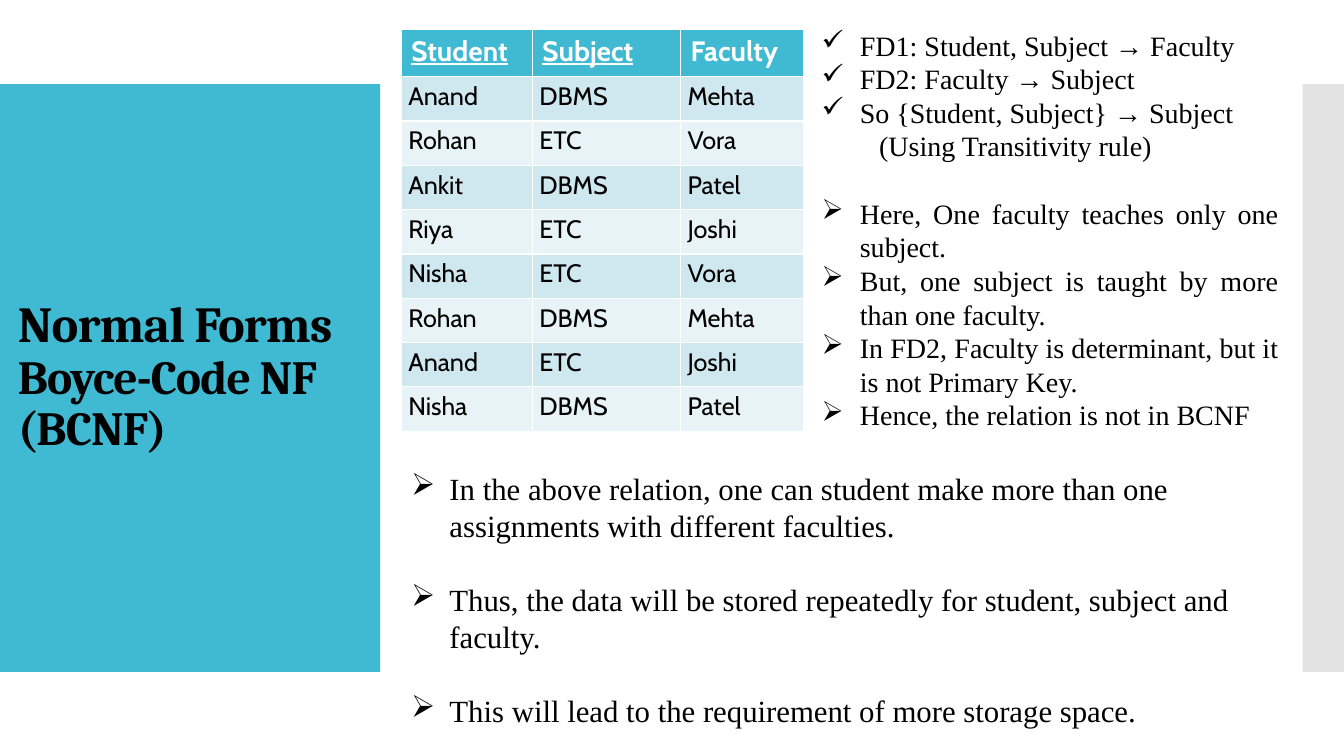
import pptx
import pptx.util
import pptx.dml.color
import pptx.enum.shapes
import pptx.enum.text
import lxml.etree

Inches = pptx.util.Inches
Pt = pptx.util.Pt
Align = pptx.enum.text.PP_ALIGN
DRAWING = "{http://schemas.openxmlformats.org/drawingml/2006/main}"
WIDTH, HEIGHT = 13.33, 7.5
TEAL, BLACK, WHITE = "40BAD2", "000000", "FFFFFF"
BANDS = ["CFE7EE", "E8F3F7"]


def colour(target, code):
    """Give a fill or a font a solid colour."""
    if hasattr(target, "solid"):
        target.solid()
        target.fore_color.rgb = pptx.dml.color.RGBColor.from_string(code)
    else:
        target.color.rgb = pptx.dml.color.RGBColor.from_string(code)


def add_points(page, place, points, size, align):
    """Add a text box of (bullet, indent, space before, text) points."""
    box = page.shapes.add_textbox(*[Inches(length) for length in place])
    frame = box.text_frame
    frame.word_wrap = True
    for number, (bullet, indent, before, text) in enumerate(points):
        para = frame.paragraphs[0] if number == 0 else frame.add_paragraph()
        para.text = text
        para.alignment = align
        para.space_before = Pt(before)
        properties = para._p.get_or_add_pPr()
        properties.set("marL", str(Inches(indent)))
        if bullet:
            properties.set("indent", str(-Inches(indent)))
            lxml.etree.SubElement(properties, DRAWING + "buChar", char=bullet)
        para.font.size = Pt(size)
        para.font.name = "Times New Roman"
        colour(para.font, BLACK)


deck = pptx.Presentation()
deck.slide_width, deck.slide_height = Inches(WIDTH), Inches(HEIGHT)
page = deck.slides.add_slide(deck.slide_layouts[6])

# Side panels: seven ninths of the slide's height
for left, width, code in [(0, 3.77, TEAL), (12.92, WIDTH - 12.92, "C8C8C8")]:
    panel = page.shapes.add_shape(
        pptx.enum.shapes.MSO_SHAPE.RECTANGLE, Inches(left), Inches(HEIGHT / 9),
        Inches(width), Inches(HEIGHT * 7 / 9))
    panel.shadow.inherit = False
    panel.line.fill.background()
    colour(panel.fill, code)
# The right panel is half transparent
grey = panel._element.spPr.find(f"{DRAWING}solidFill/{DRAWING}srgbClr")
lxml.etree.SubElement(grey, DRAWING + "alpha", val="50000")

# Title
box = page.shapes.add_textbox(Inches(0.08), Inches(1.23), Inches(3.6), Inches(5.03))
frame = box.text_frame
frame.word_wrap = True
frame.vertical_anchor = pptx.enum.text.MSO_ANCHOR.MIDDLE
para = frame.paragraphs[0]
para.line_spacing = 0.9
for number, (text, size) in enumerate(
        [("Normal Forms", 36), ("Boyce-Code NF", 34), ("(BCNF)", 34)]):
    if number:
        para.add_line_break()
    span = para.add_run()
    span.text = text
    span.font.size = Pt(size)
    span.font.name = "Cambria"
    span.font.bold = True
    colour(span.font, BLACK)
    span.font._element.set("spc", "-60")

# Relation table
records = [
    ("Student", "Subject", "Faculty"),
    ("Anand", "DBMS", "Mehta"),
    ("Rohan", "ETC", "Vora"),
    ("Ankit", "DBMS", "Patel"),
    ("Riya", "ETC", "Joshi"),
    ("Nisha", "ETC", "Vora"),
    ("Rohan", "DBMS", "Mehta"),
    ("Anand", "ETC", "Joshi"),
    ("Nisha", "DBMS", "Patel"),
]
table = page.shapes.add_table(
    len(records), 3, Inches(3.98), Inches(0.29), Inches(3.99), Inches(3.99)).table
for column, width in zip(table.columns, [1.3, 1.47, 1.22]):
    column.width = Inches(width)
for row, record in enumerate(records):
    header = row == 0
    table.rows[row].height = Inches(0.47 if header else 0.44)
    for column, text in enumerate(record):
        cell = table.cell(row, column)
        cell.text = text
        colour(cell.fill, TEAL if header else BANDS[(row - 1) % 2])
        para = cell.text_frame.paragraphs[0]
        if not header:
            cell.margin_left = cell.margin_right = Inches(0.07)
            cell.margin_top = cell.margin_bottom = 0
            para.line_spacing = 1.15
        para.font.name = "Cabin"
        para.font.size = Pt(20 if header else 18)
        para.font.bold = header
        # The key columns are underlined
        para.font.underline = header and column < 2
        colour(para.font, WHITE if header else BLACK)

# Functional dependencies and what they mean
add_points(page, (8.05, 0.23, 4.73, 4.14), [
    ("✓", 0.38, 0, "FD1: Student, Subject → Faculty"),
    ("✓", 0.38, 0, "FD2: Faculty → Subject"),
    ("✓", 0.38, 0, "So {Student, Subject} → Subject"),
    (None, 0.57, 0, "(Using Transitivity rule)"),
    ("➢", 0.38, 24, "Here, One faculty teaches only one subject."),
    ("➢", 0.38, 0, "But, one subject is taught by more than one faculty."),
    ("➢", 0.38, 0, "In FD2, Faculty is determinant, but it is not Primary Key."),
    ("➢", 0.38, 0, "Hence, the relation is not in BCNF"),
], 20, Align.JUSTIFY)

# Consequences
add_points(page, (3.98, 4.61, 8.8, 2.69), [
    ("➢", 0.38, 0, "In the above relation, one can student make more than one "
                   "assignments with different faculties."),
    ("➢", 0.38, 26.4, "Thus, the data will be stored repeatedly for student, "
                      "subject and faculty."),
    ("➢", 0.38, 26.4, "This will lead to the requirement of more storage space."),
], 22, Align.LEFT)

deck.save("out.pptx")
